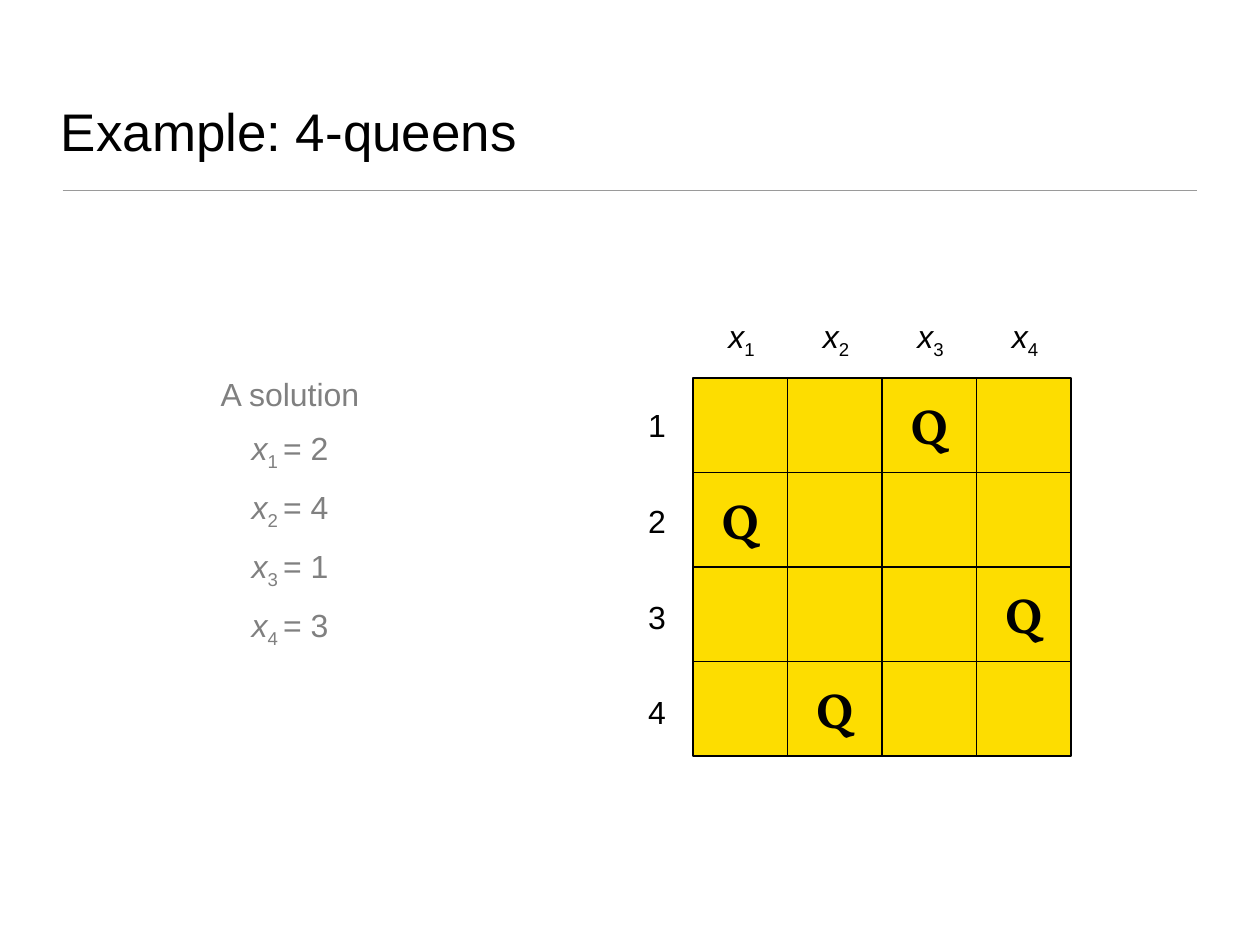
import pptx
import pptx.dml.color
import pptx.enum.shapes
import pptx.enum.text
import pptx.oxml.ns
import pptx.util
from lxml import etree

Pt = pptx.util.Pt
ALIGN = pptx.enum.text.PP_ALIGN
ANCHOR = pptx.enum.text.MSO_ANCHOR
SOLUTION = [2, 4, 1, 3]


def rgb(code):
    """Return the colour for a hex string."""
    return pptx.dml.color.RGBColor.from_string(code)


def style_run(run, size, color, font="Arial", bold=False):
    """Set the font of a run."""
    run.font.name, run.font.size, run.font.bold = font, Pt(size), bold
    run.font.color.rgb = rgb(color)


def add_variable(paragraph, index, color, value=""):
    """Write an italic x with its subscript and an optional value."""
    for text in ("x", f"{index} " if value else f"{index}", value):
        if text:
            run = paragraph.add_run()
            run.text = text
            style_run(run, 26, color)
            run.font.italic = text == "x"
            if text.strip() == str(index):
                run._r.get_or_add_rPr().set("baseline", "-25000")


def add_label(slide, left, top, width, height, text=""):
    """Add a centred text box and return its text frame."""
    frame = slide.shapes.add_textbox(Pt(left), Pt(top), Pt(width), Pt(height)).text_frame
    frame.word_wrap = True
    frame.margin_left = frame.margin_right = Pt(10)
    frame.margin_top = frame.margin_bottom = Pt(5)
    frame.text = text
    frame.paragraphs[0].alignment = ALIGN.CENTER
    return frame


def add_rule(slide, x1, y1, x2, y2, color, weight):
    """Draw a straight line without a shadow."""
    rule = slide.shapes.add_connector(
        pptx.enum.shapes.MSO_CONNECTOR.STRAIGHT, Pt(x1), Pt(y1), Pt(x2), Pt(y2))
    rule.line.color.rgb = rgb(color)
    rule.line.width = Pt(weight)
    etree.SubElement(rule._element.spPr, pptx.oxml.ns.qn("a:effectLst"))


def add_heading(slide, left, top, width, height):
    """Place the title and the rule below it."""
    title = slide.shapes.title
    title.left, title.top, title.width, title.height = Pt(left), Pt(top), Pt(width), Pt(height)
    frame = title.text_frame
    frame.text = "Example: 4-queens"
    frame.auto_size = pptx.enum.text.MSO_AUTO_SIZE.NONE
    frame.vertical_anchor = ANCHOR.BOTTOM
    frame.margin_left = frame.margin_right = frame.margin_top = frame.margin_bottom = Pt(4.5)
    frame.paragraphs[0].alignment = ALIGN.LEFT
    style_run(frame.paragraphs[0].runs[0], 43, "000000")
    rule_y = top + height + 18.8
    add_rule(slide, left + 6, rule_y, left + width - 6, rule_y, "9A9A9A", 0.75)


def add_solution(slide, left, top, width, height):
    """List the value of each variable."""
    frame = add_label(slide, left, top, width, height, "A solution")
    frame.word_wrap = False
    frame.vertical_anchor = ANCHOR.MIDDLE
    style_run(frame.paragraphs[0].runs[0], 26, "808080")
    for index, row in enumerate(SOLUTION, 1):
        paragraph = frame.add_paragraph()
        paragraph.alignment = ALIGN.CENTER
        paragraph.line_spacing = 1.35
        add_variable(paragraph, index, "808080", f"= {row}")


def add_board(slide, left, top, side):
    """Draw the board with its labels and queens."""
    count = len(SOLUTION)
    cell = side / count
    board = slide.shapes.add_shape(
        pptx.enum.shapes.MSO_SHAPE.RECTANGLE, Pt(left), Pt(top), Pt(side), Pt(side))
    board.shadow.inherit = False
    board.fill.solid()
    board.fill.fore_color.rgb = rgb("FDDD00")
    board.line.color.rgb = rgb("000000")
    board.line.width = Pt(1.5)
    for step in range(1, count):
        x, y = left + step * cell, top + step * cell
        add_rule(slide, x, top, x, top + side, "000000", 1.5)
        add_rule(slide, left, y, left + side, y, "000000", 1.5)
    for index, row in enumerate(SOLUTION, 1):
        x = left + (index - 1) * cell
        queen = add_label(slide, x, top + (row - 1) * cell + 9.4, cell, 58.3, "Q")
        style_run(queen.paragraphs[0].runs[0], 40, "000000", "Vollkorn", True)
        variable = add_label(slide, x + 1, top - 55.2, cell, 41.8)
        add_variable(variable.paragraphs[0], index, "000000")
        number = add_label(slide, left - 54.7, top + 17.5 + (index - 1) * 77.8, 51, 41.8, str(index))
        style_run(number.paragraphs[0].runs[0], 26, "000000")


def main():
    """Build and save the slide."""
    deck = pptx.Presentation()
    deck.slide_width, deck.slide_height = Pt(1024), Pt(768)
    slide = deck.slides.add_slide(deck.slide_layouts[5])
    add_heading(slide, 45, 26, 933.6, 110)
    add_solution(slide, 168.5, 311, 134.6, 210)
    add_board(slide, 563.2, 307.2, 307.2)
    deck.save("out.pptx")


if __name__ == "__main__":
    main()
